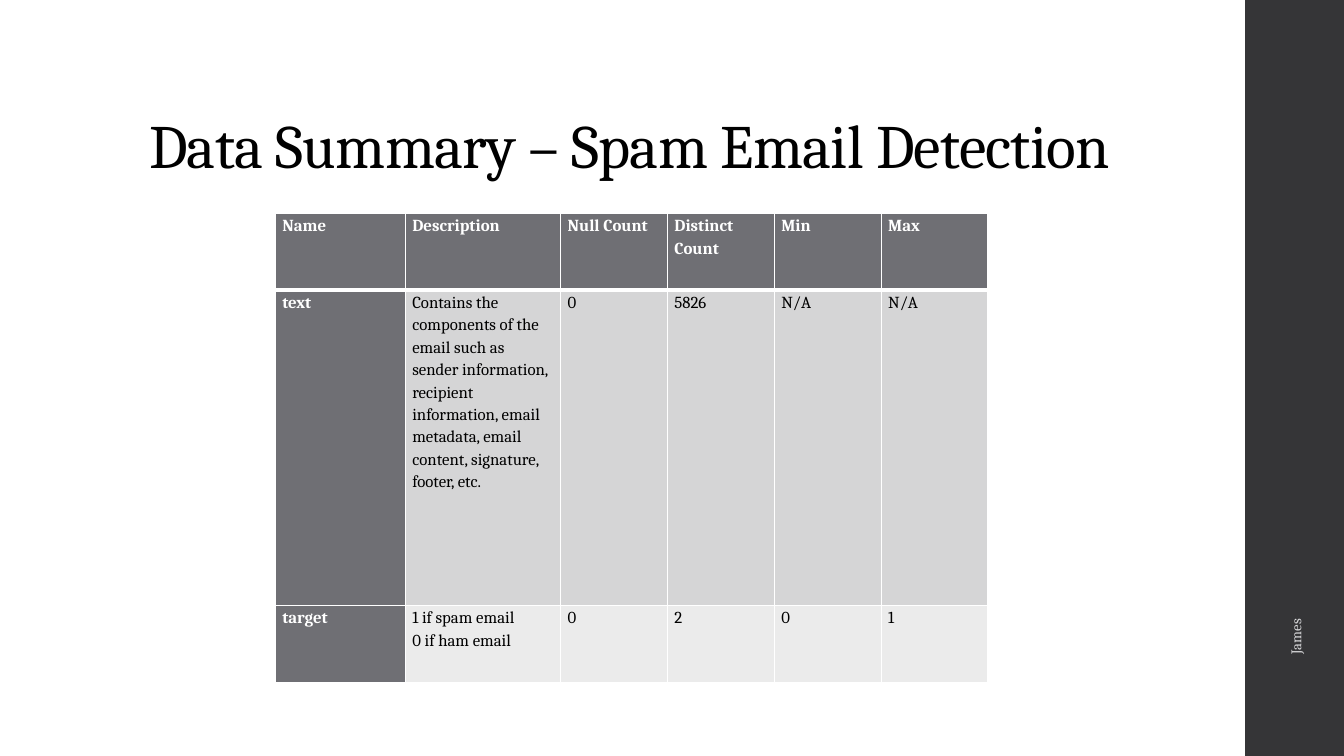
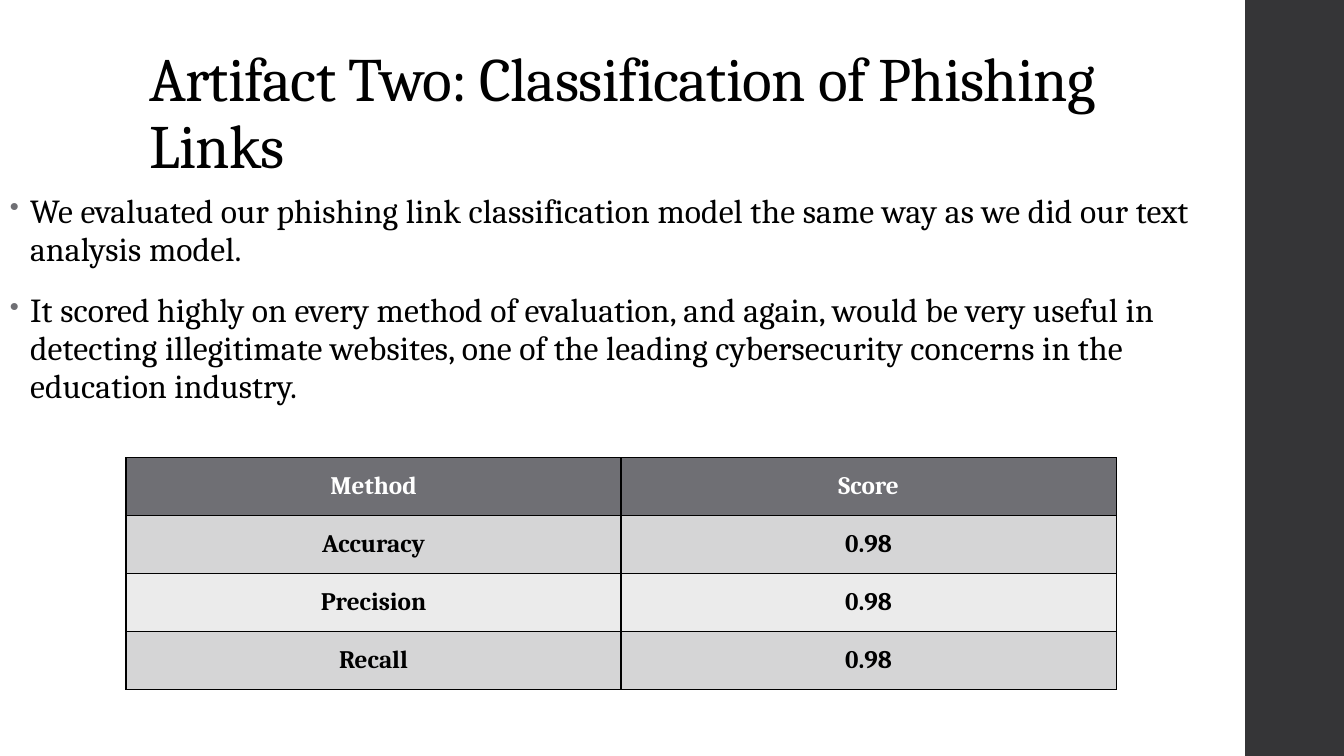
from pptx import Presentation
from pptx.dml.color import RGBColor
from pptx.enum.shapes import MSO_SHAPE as Shape
from pptx.enum.text import MSO_ANCHOR as Anchor, PP_ALIGN as Align
from pptx.oxml import parse_xml
from pptx.oxml.ns import nsdecls
from pptx.util import Inches, Pt

FONT = "Cambria"
COLORS = {
    "band": "353537", "head": "6F6F74", "dark": "D5D5D6", "light": "EBEBEB",
    "black": "000000", "white": "FFFFFF", "name": "D9D9DB",
}

SUMMARY = {
    "title": "Data Summary – Spam Email Detection",
    "speaker": "James",
    "rows": [
        ("Name", "Description", "Null Count", "Distinct Count", "Min", "Max"),
        ("text", "Contains the components of the email such as sender information, "
         "recipient information, email metadata, email content, signature, "
         "footer, etc.", "0", "5826", "N/A", "N/A"),
        ("target", "1 if spam email\n0 if ham email", "0", "2", "0", "1"),
    ],
    "widths": [1.29, 1.54] + [1.06] * 4,
    "heights": [0.76, 3.13, 0.76],
}
SCORES = {
    "title": "Artifact Two: Classification of Phishing Links",
    "points": [
        "We evaluated our phishing link classification model the same way as "
        "we did our text analysis model.",
        "It scored highly on every method of evaluation, and again, would be "
        "very useful in detecting illegitimate websites, one of the "
        "leading cybersecurity concerns in the education industry.",
    ],
    "rows": [("Method", "Score"), ("Accuracy", "0.98"),
             ("Precision", "0.98"), ("Recall", "0.98")],
    "widths": [4.91] * 2,
    "heights": [0.575] * 4,
}


def rgb(name):
    return RGBColor.from_string(COLORS[name])


def style(frame, size, color="black", bold=False, gap=0, line=None, align=None):
    """Format all text in a frame; gap is the letter spacing in points."""
    for para in frame.paragraphs:
        para.alignment = align
        if line:
            para.line_spacing = line
        for run in para.runs:
            font = run.font
            font.name, font.size, font.bold = FONT, Pt(size), bold
            font.color.rgb = rgb(color)
            if gap:
                font._element.set("spc", str(round(gap * 100)))


def add_text(slide, box, text, anchor=Anchor.TOP):
    shape = slide.shapes.add_textbox(*map(Inches, box))
    frame = shape.text_frame
    frame.word_wrap = True
    frame.vertical_anchor = anchor
    frame.text = text
    return shape


def add_base(deck, title):
    """Add a blank slide with the side band and the title."""
    slide = deck.slides.add_slide(deck.slide_layouts[6])
    band = slide.shapes.add_shape(
        Shape.RECTANGLE, Inches(12.35), 0, deck.slide_width - Inches(12.35),
        deck.slide_height)
    band.shadow.inherit = False
    band.fill.solid()
    band.fill.fore_color.rgb = rgb("band")
    band.line.fill.background()
    head = add_text(slide, (1.38, 0.4, 10.6, 1.45), title, Anchor.BOTTOM)
    style(head.text_frame, 44, gap=-0.5, line=0.9)
    return slide


def add_bullets(frame):
    for para in frame.paragraphs:
        para.space_before, para.space_after = Pt(14), Pt(2)
        props = para._p.get_or_add_pPr()
        props.set("marL", str(Inches(0.2)))
        props.set("indent", str(Inches(-0.2)))
        for xml in (f'<a:buClr {nsdecls("a")}><a:srgbClr val="{COLORS["head"]}"/></a:buClr>',
                    f'<a:buSzPct {nsdecls("a")} val="80000"/>',
                    f'<a:buChar {nsdecls("a")} char="•"/>'):
            props.append(parse_xml(xml))


def add_borders(cell, color, widths):
    """Draw the cell edges; widths maps L, R, T and B to points."""
    props = cell._tc.get_or_add_tcPr()
    for side, width in widths.items():
        props.append(parse_xml(
            f'<a:ln{side} {nsdecls("a")} w="{Pt(width)}"><a:solidFill>'
            f'<a:srgbClr val="{COLORS[color]}"/></a:solidFill></a:ln{side}>'))


def add_grid(slide, left, top, data, edge, rule=1, side_head=False):
    """Add a banded table and yield each cell with its heading flag.

    rule is the width of the line below the header row.
    """
    rows, widths, heights = data["rows"], data["widths"], data["heights"]
    grid = slide.shapes.add_table(
        len(rows), len(widths), Inches(left), Inches(top),
        Inches(sum(widths)), Inches(sum(heights))).table
    for col, width in zip(grid.columns, widths):
        col.width = Inches(width)
    for row, height in zip(grid.rows, heights):
        row.height = Inches(height)
    for r, row in enumerate(rows):
        for c, text in enumerate(row):
            cell = grid.cell(r, c)
            head = r == 0 or (side_head and c == 0)
            cell.text_frame.text = text
            add_borders(cell, edge, {"L": 1, "R": 1, "T": rule if r == 1 else 1,
                                     "B": rule if r == 0 else 1})
            cell.fill.solid()
            cell.fill.fore_color.rgb = rgb(
                "head" if head else "dark" if r % 2 else "light")
            yield cell, head


def add_summary(deck):
    slide = add_base(deck, SUMMARY["title"])
    name = add_text(slide, (10.89, 4.43, 3.92, 0.4), SUMMARY["speaker"], Anchor.MIDDLE)
    name.rotation = 270
    style(name.text_frame, 10.5, "name")
    for cell, head in add_grid(slide, 2.73, 2.12, SUMMARY, "white", 3, True):
        cell.margin_left = cell.margin_right = Inches(0.07)
        cell.margin_top = cell.margin_bottom = 0
        style(cell.text_frame, 12, "white" if head else "black", head, line=1.16)


def add_scores(deck):
    slide = add_base(deck, SCORES["title"])
    body = add_text(slide, (0, 1.86, 12.32, 2.41), "\n".join(SCORES["points"]))
    style(body.text_frame, 24, gap=0.1, line=0.95)
    add_bullets(body.text_frame)
    for cell, head in add_grid(slide, 1.25, 4.54, SCORES, "black"):
        cell.vertical_anchor = Anchor.MIDDLE
        style(cell.text_frame, 18, "white" if head else "black", True,
              align=Align.CENTER)


def main():
    deck = Presentation()
    deck.slide_width, deck.slide_height = Inches(13.33), Inches(7.5)
    add_summary(deck)
    add_scores(deck)
    deck.save("out.pptx")


if __name__ == "__main__":
    main()
